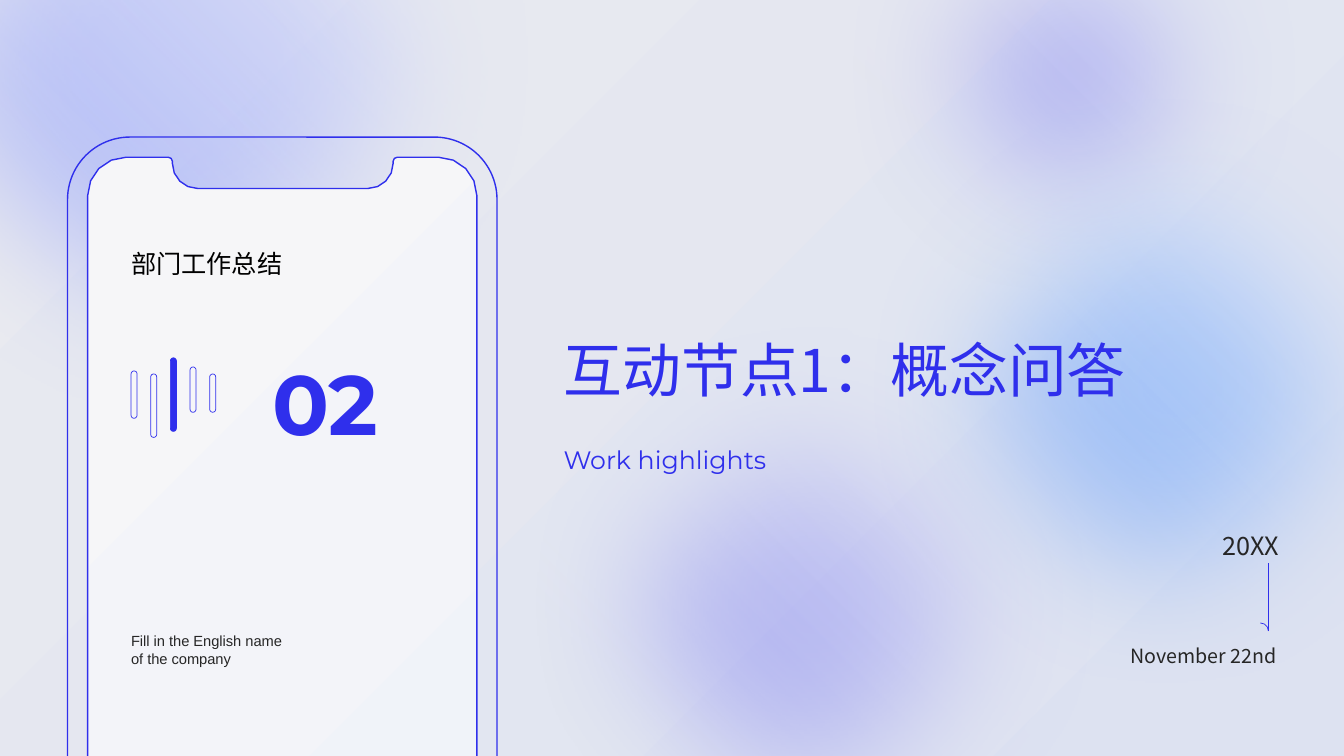
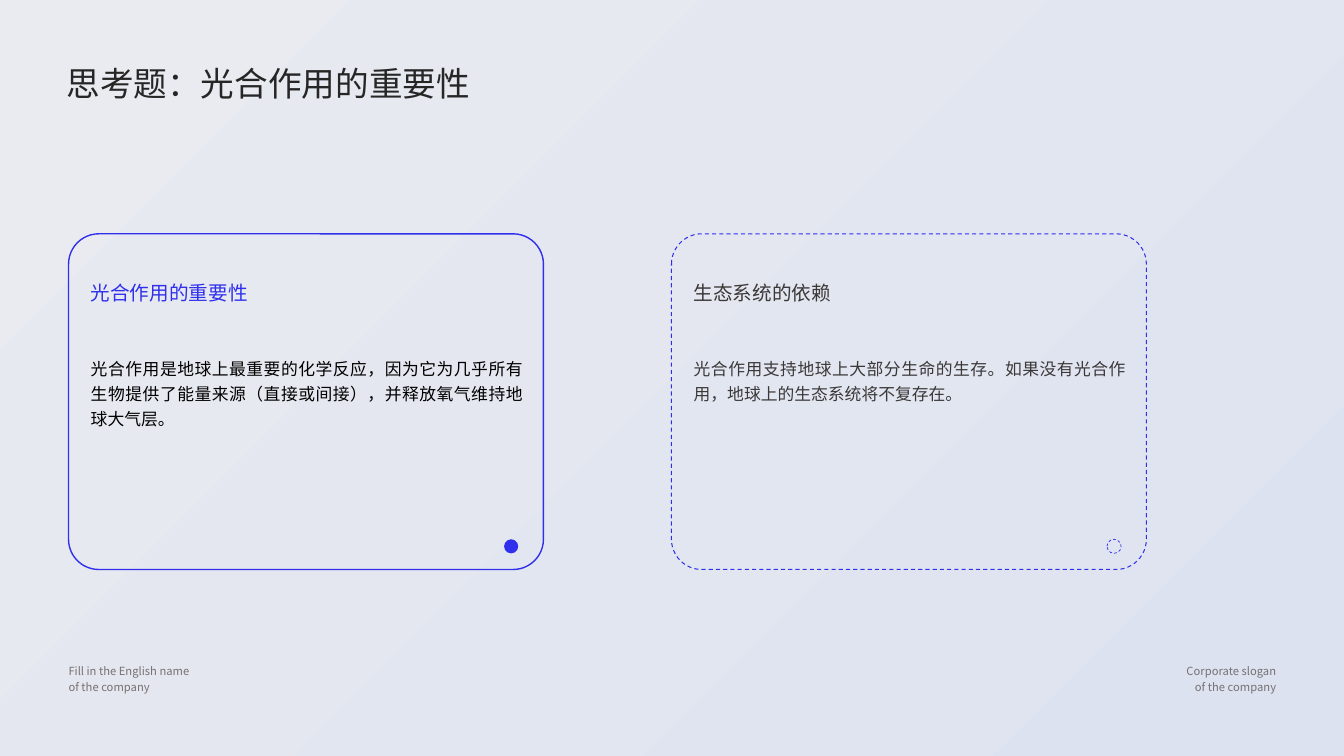
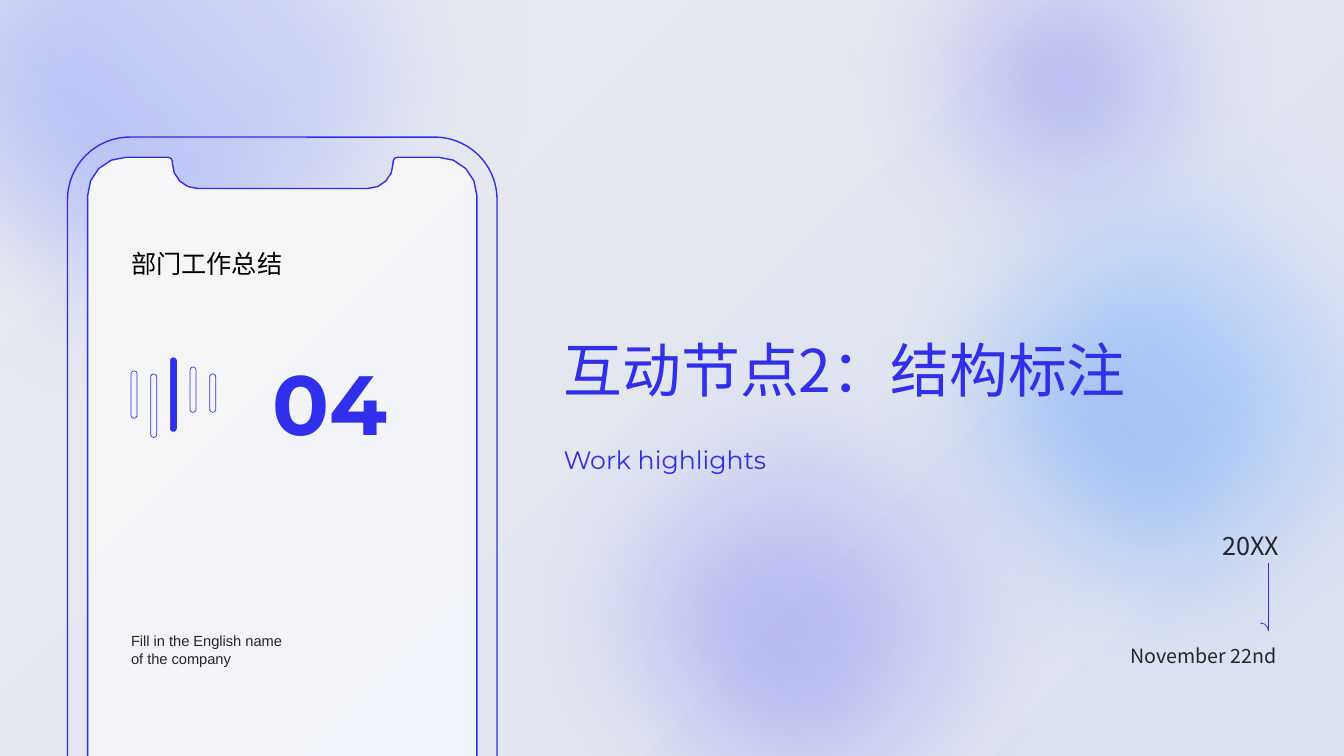
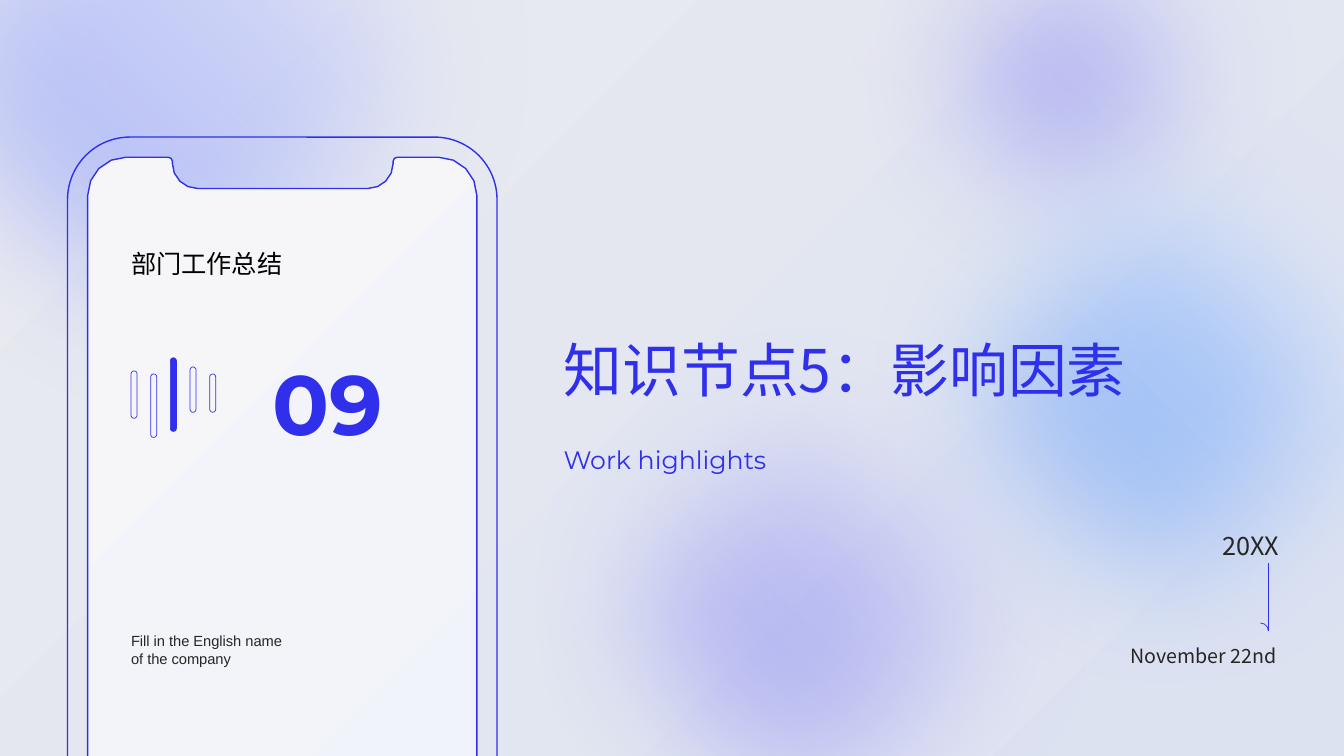
from math import cos, radians, sin

from lxml.etree import SubElement
from pptx import Presentation
from pptx.dml.color import RGBColor
from pptx.enum.dml import MSO_LINE
from pptx.enum.shapes import MSO_CONNECTOR, MSO_SHAPE as SHAPE
from pptx.enum.text import MSO_ANCHOR as ANCHOR, MSO_AUTO_SIZE as FIT, PP_ALIGN as ALIGN
from pptx.oxml.ns import qn
from pptx.util import Inches, Pt

COLORS = {
    "white": "FFFFFF", "blue": "2F2FEC", "black": "000000", "ink": "262626", "gray": "3B3838",
    "footer": "767171", "page_start": "EAEBF0", "page_end": "DDE2F1",
    "screen_start": "F6F6F8", "screen_end": "F0F3F9", "lilac": "D5D5FB",
    "sky": "6399F4", "pale_sky": "E0EBFD", "violet": "8393F7", "pale_violet": "E6E9FD",
}
SANS = "Noto Sans CJK SC"
PAGE = (0, 0, 13.33, 7.5)
DOWN_RIGHT, UP_RIGHT = 315, 45
SOFT_EDGE = Pt(100)

TEXT_DEFAULTS = {
    "frame": {"margin_left": 0, "margin_top": 0, "margin_right": 0, "margin_bottom": 0,
              "word_wrap": True, "auto_size": FIT.SHAPE_TO_FIT_TEXT, "vertical_anchor": ANCHOR.TOP},
    "paragraph": {"alignment": ALIGN.LEFT, "line_spacing": 1.0},
    "font": {"name": SANS, "bold": False},
}
FIXED = {"word_wrap": False, "auto_size": FIT.NONE}
STYLES = {
    "title": {"color": "ink", "font": {"size": Pt(24)}, "frame": {"vertical_anchor": ANCHOR.BOTTOM}},
    "section": {"color": "blue", "font": {"size": Pt(42)}, "paragraph": {"line_spacing": 1.5},
                "frame": {**FIXED, "vertical_anchor": ANCHOR.BOTTOM}},
    "subtitle": {"color": "blue", "font": {"size": Pt(18), "name": "Montserrat"}, "frame": FIXED},
    "number": {"color": "blue", "font": {"size": Pt(60), "name": "Montserrat", "bold": True},
               "frame": {**FIXED, "vertical_anchor": ANCHOR.MIDDLE}},
    "department": {"color": "black", "font": {"size": Pt(18)}, "paragraph": {"line_spacing": 1.25},
                   "frame": {"word_wrap": False}},
    "company": {"color": "ink", "font": {"size": Pt(10.5), "name": "Arial"}},
    "year": {"color": "ink", "font": {"size": Pt(18)}, "paragraph": {"alignment": ALIGN.RIGHT}},
    "date": {"color": "ink", "font": {"size": Pt(14)}, "paragraph": {"alignment": ALIGN.RIGHT}},
    "heading": {"font": {"size": Pt(14)}, "paragraph": {"line_spacing": 1.25}},
    "body": {"font": {"size": Pt(12), "name": "Arial"},
             "paragraph": {"alignment": ALIGN.JUSTIFY, "line_spacing": 1.25}},
    "footer_left": {"color": "footer", "font": {"size": Pt(8)}, "paragraph": {"line_spacing": 1.2},
                    "frame": {"word_wrap": False}},
    "footer_right": {"color": "footer", "font": {"size": Pt(8)}, "frame": {"word_wrap": False},
                     "paragraph": {"alignment": ALIGN.RIGHT, "line_spacing": 1.2}},
}
COMPANY = ["Fill in the English name", "of the company"]
SLOGAN = ["Corporate slogan", "of the company"]

GLOWS = [
    ((4.71, 2.62, 6.74, 6.74), ("blue", "lilac"), (55, 25)),
    ((7.84, -2.16, 5.7, 5.7), ("blue", "lilac"), (55, 43)),
    ((8.1, 0.41, 6.94, 6.94), ("sky", "pale_sky"), (76, 100)),
    ((-2.21, -3.37, 7.94, 7.94), ("violet", "pale_violet"), (100, 37)),
]
WAVE_BARS = [(0.13, 0.47), (0.16, 0.63), (0, 0.73), (0.09, 0.45), (0.16, 0.38)]
QUESTION = "思考题：光合作用的重要性"
CARDS = [
    {"heading": "光合作用的重要性", "heading_color": "blue", "body_color": "black", "active": True,
     "body": "光合作用是地球上最重要的化学反应，因为它为几乎所有生物提供了能量来源（直接或间接），并释放氧气维持地球大气层。"},
    {"heading": "生态系统的依赖", "heading_color": "gray", "body_color": "gray", "active": False,
     "body": "光合作用支持地球上大部分生命的生存。如果没有光合作用，地球上的生态系统将不复存在。"},
]


def rgb(name):
    """Return the named colour."""
    return RGBColor.from_string(COLORS[name])


def inches(box):
    """Convert the numbers of a box to lengths."""
    return [Inches(value) for value in box]


def apply(target, values):
    """Set every attribute named in a dict of format values."""
    for name, value in values.items():
        setattr(target, name, value)


def paint_gradient(fill, names, angle):
    """Give a fill a linear two-colour gradient."""
    fill.gradient()
    fill.gradient_angle = angle
    for stop, name in zip(fill.gradient_stops, names):
        stop.color.rgb = rgb(name)


def finish(shape, fill=None, line=None, dash=False):
    """Set the plain fill and blue outline of a shape and drop its shadow."""
    shape.shadow.inherit = False
    if fill:
        shape.fill.solid()
        shape.fill.fore_color.rgb = rgb(fill)
    else:
        shape.fill.background()
    if line:
        shape.line.color.rgb = rgb("blue")
        shape.line.width = Pt(line)
    else:
        shape.line.fill.background()
    if dash:
        shape.line.dash_style = MSO_LINE.DASH
    return shape


def add_preset(shapes, kind, box, radius=None, **look):
    """Add a preset shape, with a corner radius in inches if given."""
    shape = shapes.add_shape(kind, *inches(box))
    if radius:
        shape.adjustments[0] = radius / min(box[2:])
    return finish(shape, **look)


def add_outline(shapes, points, closed, **look):
    """Add a freeform through points given in inches."""
    corners = [inches(point) for point in points]
    builder = shapes.build_freeform(*corners[0])
    builder.add_line_segments(corners[1:], close=closed)
    return finish(builder.convert_to_shape(), **look)


def arc(x, y, radius, start, end, steps=4):
    """Return points on an arc, with angles clockwise from the right."""
    angles = [radians(start + (end - start) * i / steps) for i in range(steps + 1)]
    return [(x + radius * cos(a), y + radius * sin(a)) for a in angles]


def write(frame, lines, style, color=None):
    """Fill a text frame with lines in a named style."""
    look = STYLES[style]
    formats = {part: {**base, **look.get(part, {})} for part, base in TEXT_DEFAULTS.items()}
    apply(frame, formats["frame"])
    for i, line in enumerate(lines):
        paragraph = frame.add_paragraph() if i else frame.paragraphs[0]
        apply(paragraph, formats["paragraph"])
        run = paragraph.add_run()
        run.text = line
        apply(run.font, formats["font"])
        run.font.color.rgb = rgb(color or look["color"])
        SubElement(run.font._element, qn("a:ea"), typeface=SANS)


def add_text(slide, box, lines, style, color=None):
    """Add a text box in a named style."""
    write(slide.shapes.add_textbox(*inches(box)).text_frame, lines, style, color)


def set_title(slide, box, text, style):
    """Place the title in front of what the slide holds so far."""
    title = slide.shapes.title
    apply(title, dict(zip(("left", "top", "width", "height"), inches(box))))
    write(title.text_frame, [text], style)
    title.element.getparent().append(title.element)


def add_backdrop(slide):
    """Cover the page with the pale gradient."""
    backdrop = add_preset(slide.shapes, SHAPE.RECTANGLE, PAGE)
    paint_gradient(backdrop.fill, ("page_start", "page_end"), DOWN_RIGHT)
    return backdrop


def share_backdrop(master, slide):
    """Put the backdrop behind everything on the master."""
    background = master.background.fill
    background.solid()
    background.fore_color.rgb = rgb("white")
    backdrop = add_backdrop(slide).element
    next(backdrop.iter(qn("p:cNvPr"))).set("id", "20")
    master.shapes.element.insert(2, backdrop)


def add_glow(slide, box, names, opacities):
    """Add a blurred circle with a translucent gradient."""
    glow = add_preset(slide.shapes, SHAPE.OVAL, box)
    paint_gradient(glow.fill, names, UP_RIGHT)
    for tint, opacity in zip(glow.element.iter(qn("a:srgbClr")), opacities):
        SubElement(tint, qn("a:alpha"), val=str(opacity * 1000))
    effects = glow.element.spPr.find(qn("a:effectLst"))
    SubElement(effects, qn("a:softEdge"), rad=str(SOFT_EDGE))


def add_phone(slide, box):
    """Draw the phone body and its notched screen."""
    left, top, width, height = box
    phone = slide.shapes.add_group_shape().shapes
    add_preset(phone, SHAPE.ROUNDED_RECTANGLE, box, radius=0.62, line=1)
    bezel, corner, notch, lip = 0.2, 0.38, 0.25, 0.04
    x1, y1 = left + bezel, top + bezel
    x2, y2 = left + width - bezel, top + height - bezel
    notch_left, notch_right, notch_bottom = left + 1.04, left + 3.23, y1 + 0.31
    outline = (
        arc(notch_left - lip, y1 + lip, lip, -90, 0, steps=2)
        + arc(notch_left + notch, notch_bottom - notch, notch, 180, 90)
        + arc(notch_right - notch, notch_bottom - notch, notch, 90, 0)
        + arc(notch_right + lip, y1 + lip, lip, 180, 270, steps=2)
        + arc(x2 - corner, y1 + corner, corner, -90, 0)
        + arc(x2 - corner, y2 - corner, corner, 0, 90, steps=2)
        + arc(x1 + corner, y2 - corner, corner, 90, 180, steps=2)
        + arc(x1 + corner, y1 + corner, corner, 180, 270)
    )
    screen = add_outline(phone, outline, True, line=1)
    paint_gradient(screen.fill, ("screen_start", "screen_end"), DOWN_RIGHT)


def add_wave(slide, left, top):
    """Draw the row of sound bars with the middle one filled."""
    wave = slide.shapes.add_group_shape().shapes
    for i, (drop, height) in enumerate(WAVE_BARS):
        bar = (left + i * 0.195, top + drop, 0.06, height)
        fill = "blue" if i == len(WAVE_BARS) // 2 else None
        add_preset(wave, SHAPE.ROUNDED_RECTANGLE, bar, radius=0.03, fill=fill, line=0.5)


def add_hook(slide, box):
    """Draw the vertical line with a curl at its lower end."""
    left, top, width, height = box
    right, bottom = left + width, top + height
    hook = slide.shapes.add_group_shape().shapes
    stem = hook.add_connector(MSO_CONNECTOR.STRAIGHT, *inches((right, top, right, bottom)))
    stem.line.color.rgb = rgb("blue")
    stem.line.width = Pt(0.5)
    SubElement(stem.element.spPr, qn("a:effectLst"))
    add_outline(hook, arc(left, bottom, width, -90, 0, steps=3), False, line=0.5)


def add_card(slide, box, card):
    """Draw one card with heading, body and marker dot."""
    left, top, width, height = box
    active = card["active"]
    add_preset(slide.shapes, SHAPE.ROUNDED_RECTANGLE, box, radius=0.3,
               line=1 if active else 0.75, dash=not active)
    add_text(slide, (left + 0.22, top + 0.41, 3.73, 0.56), [card["heading"]], "heading",
             card["heading_color"])
    add_text(slide, (left + 0.22, top + 1.19, width - 0.42, 0.73), [card["body"]], "body",
             card["body_color"])
    dot = (left + width - 0.39, top + height - 0.3, 0.14, 0.14)
    dot_look = {"fill": "blue"} if active else {"line": 0.5, "dash": True}
    add_preset(slide.shapes, SHAPE.OVAL, dot, **dot_look)


def section_slide(slide, number, title):
    """Build a section opener."""
    add_backdrop(slide)
    for box, names, opacities in GLOWS:
        add_glow(slide, box, names, opacities)
    add_phone(slide, (0.67, 1.36, 4.26, 8.75))
    add_wave(slide, 1.3, 3.55)
    add_text(slide, (1.3, 2.39, 1.51, 0.35), ["部门工作总结"], "department")
    add_text(slide, (1.3, 6.27, 3.09, 0.35), COMPANY, "company")
    add_text(slide, (5.59, 4.41, 4.45, 1.35), ["Work highlights"], "subtitle")
    add_text(slide, (10.48, 5.26, 2.21, 0.3), ["20XX"], "year")
    add_text(slide, (8.76, 6.39, 3.9, 0.24), ["November 22nd"], "date")
    add_hook(slide, (12.5, 5.59, 0.08, 0.67))
    set_title(slide, (5.59, 1.94, 6.34, 2.07), title, "section")
    add_text(slide, (2.7, 3.29, 1.54, 1.4), [number], "number")


def cards_slide(slide, title, cards):
    """Build a content slide with a row of cards and footers."""
    add_text(slide, (0.68, 6.56, 1.27, 0.32), COMPANY, "footer_left")
    add_text(slide, (11.73, 6.56, 0.93, 0.32), SLOGAN, "footer_right")
    for i, card in reversed(list(enumerate(cards))):
        add_card(slide, (0.68 + i * 5.98, 2.32, 4.71, 3.33), card)
    set_title(slide, (0.66, 0.62, 12.01, 0.4), title, "title")


def main():
    """Build and save the deck."""
    deck = Presentation()
    deck.slide_width, deck.slide_height = inches(PAGE[2:])
    concept, question, structure, factors = [
        deck.slides.add_slide(deck.slide_layouts[5]) for _ in range(4)]
    share_backdrop(deck.slide_master, concept)
    section_slide(concept, "02", "互动节点1：概念问答")
    cards_slide(question, QUESTION, CARDS)
    section_slide(structure, "04", "互动节点2：结构标注")
    section_slide(factors, "09", "知识节点5：影响因素")
    deck.save("out.pptx")


if __name__ == "__main__":
    main()
